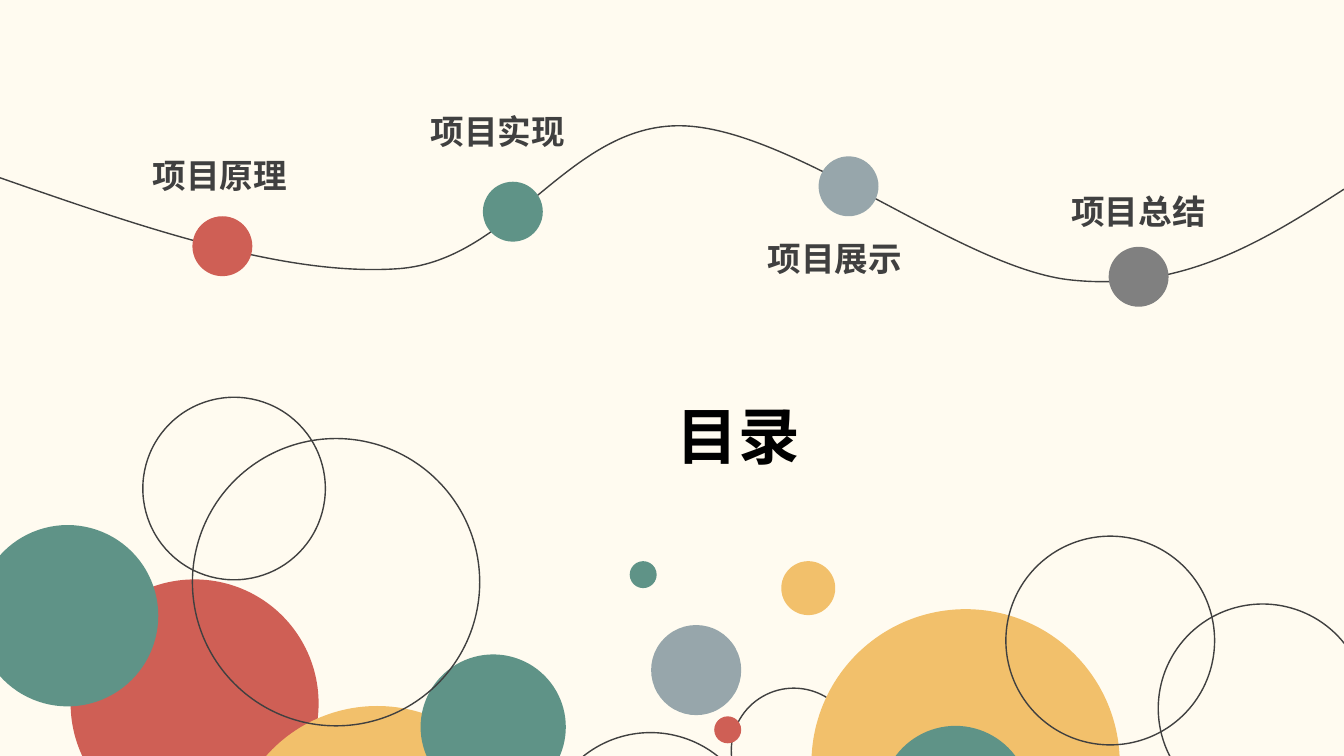
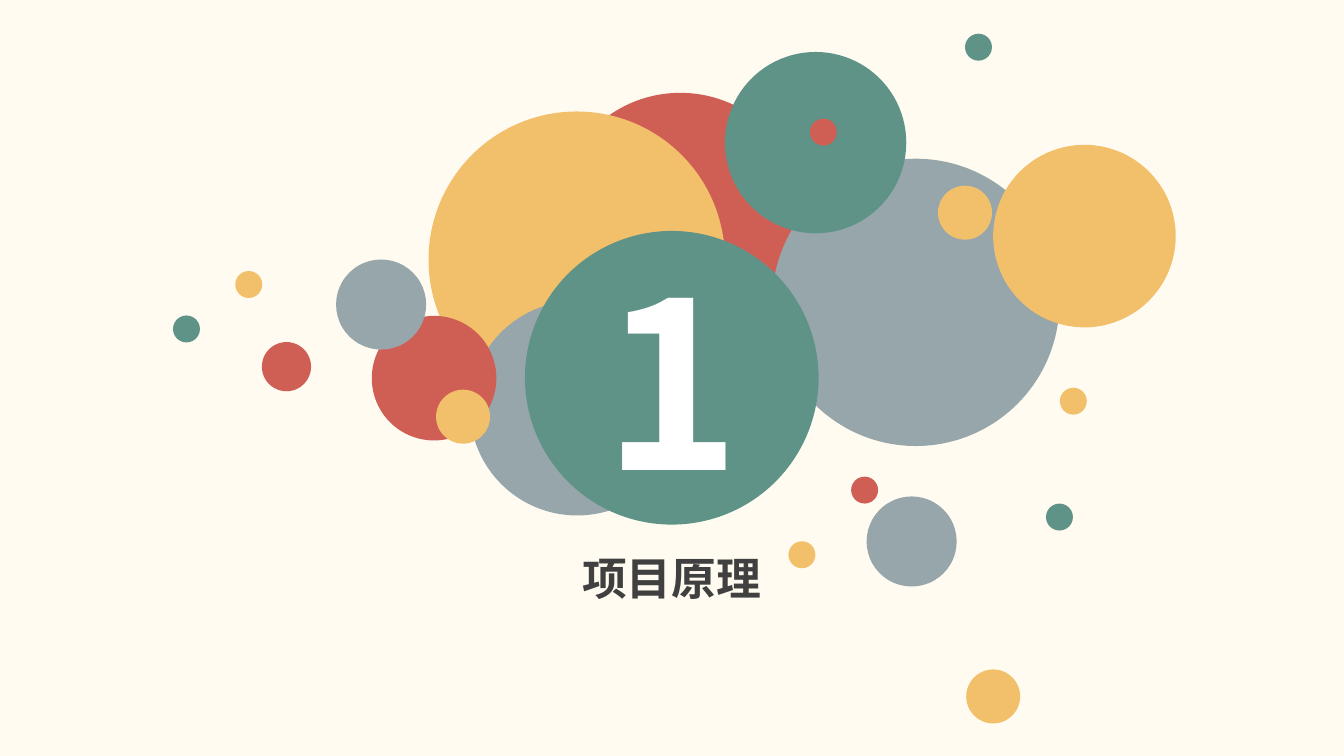
from dataclasses import dataclass

from lxml.etree import SubElement
from pptx import Presentation
from pptx.dml.color import RGBColor
from pptx.enum.lang import MSO_LANGUAGE_ID
from pptx.enum.shapes import MSO_SHAPE
from pptx.enum.text import MSO_ANCHOR, MSO_AUTO_SIZE, PP_ALIGN
from pptx.oxml.ns import qn
from pptx.util import Cm, Pt


@dataclass(frozen=True)
class Theme:
    cream: str = "FFFBF0"
    red: str = "CF5F55"
    yellow: str = "F2C06B"
    green: str = "5F9387"
    mist: str = "97A6AB"
    gray: str = "808080"
    ink: str = "404040"
    black: str = "000000"
    white: str = "FFFFFF"
    font: str = "Noto Sans CJK SC"
    title_font: str = "Calibri"
    label_size: int = 24
    section_size: int = 32
    title_size: int = 44
    number_size: int = 166
    line_width: int = 1


@dataclass(frozen=True)
class Box:
    left: float
    top: float
    width: float
    height: float

    def inner(self, left, top, width, height):
        return Box(self.left + left, self.top + top, width, height)

    def lengths(self):
        return [Cm(side) for side in (self.left, self.top, self.width, self.height)]


THEME = Theme()
PAGE = Box(0, 0, 33.87, 19.05)
DOT, PEBBLE, MARKER, BALL = 0.68, 1.36, 1.51, 2.27

LEFT_BUBBLES = [
    (1.78, 4.59, 6.25, THEME.red),
    (5.77, 7.78, 7.47, THEME.yellow),
    (10.6, 6.48, 3.66, THEME.green),
    (13.69, 8.45, 5.41, None),
    (4.85, 1.04, 7.24, None),
    (-0.58, 3.22, 4.57, THEME.green),
    (3.6, 0, 4.6, None),
]
RIGHT_BUBBLES = [
    (2.63, 3.83, 3.15, None),
    (4.65, 1.84, 7.77, THEME.yellow),
    (6.4, 4.78, 3.76, THEME.green),
    (9.55, 0, 5.26, None),
    (13.39, 1.71, 5.26, None),
    (0.61, 2.24, BALL, THEME.mist),
    (2.2, 4.54, DOT, THEME.red),
    (0.07, 0.63, DOT, THEME.green),
    (3.89, 0.63, PEBBLE, THEME.yellow),
]
SECTION_BUBBLES = [
    (9.72, 1.54, 6.25, THEME.red),
    (6.5, 2.01, 7.47, THEME.yellow),
    (7.54, 6.78, 5.41, THEME.mist),
    (15.16, 3.2, 7.24, THEME.mist),
    (13.97, 0.51, 4.57, THEME.green),
    (5.07, 7.16, 3.14, THEME.red),
    (17.54, 11.71, BALL, THEME.mist),
    (17.15, 11.21, DOT, THEME.red),
    (15.57, 12.84, DOT, THEME.yellow),
    (22.06, 11.89, DOT, THEME.green),
    (20.05, 16.07, PEBBLE, THEME.yellow),
    (20.73, 2.85, 4.6, THEME.yellow),
    (4.17, 5.74, BALL, THEME.mist),
    (2.3, 7.82, 1.24, THEME.red),
    (1.63, 6.03, DOT, THEME.yellow),
    (0.06, 7.15, DOT, THEME.green),
    (6.69, 9.02, PEBBLE, THEME.yellow),
    (16.11, 2.19, DOT, THEME.red),
    (22.41, 8.97, DOT, THEME.yellow),
    (20.02, 0.05, DOT, THEME.green),
    (19.34, 3.88, PEBBLE, THEME.yellow),
]
PATH_START = (0, 1.31)
PATH_CURVES = [
    ((3.58, 2.56), (7.19, 3.81), (10.06, 3.6)),
    ((12.9, 3.38), (14.33, -0.05), (17.17, 0)),
    ((19.99, 0.05), (24.26, 3.63), (27.03, 3.89)),
    ((29.82, 4.17), (31.85, 2.9), (33.87, 1.6)),
]
STOPS = [
    ("项目原理", (4.85, 2.28), THEME.red, (3.6, 0.6), PP_ALIGN.LEFT),
    ("项目实现", (12.17, 1.41), THEME.green, (10.6, -0.51), PP_ALIGN.LEFT),
    ("项目展示", (20.63, 0.77), THEME.mist, (19.1, 2.71), PP_ALIGN.LEFT),
    ("项目总结", (27.94, 3.05), THEME.gray, (24.74, 1.52), PP_ALIGN.CENTER),
]


def color(value):
    return RGBColor.from_string(value)


def paint(shape, fill=None):
    shape.shadow.inherit = False
    if fill:
        shape.fill.solid()
        shape.fill.fore_color.rgb = color(fill)
        shape.line.fill.background()
    else:
        shape.fill.background()
        shape.line.color.rgb = color(THEME.ink)
        shape.line.width = Pt(THEME.line_width)


def write(frame, text, size, ink=THEME.ink, font=THEME.font, align=PP_ALIGN.LEFT):
    frame.word_wrap = True
    para = frame.paragraphs[0]
    para.alignment = align
    span = para.add_run()
    span.text = text
    span.font.size = Pt(size)
    span.font.bold = True
    span.font.name = font
    span.font.color.rgb = color(ink)
    span.font.language_id = MSO_LANGUAGE_ID.SIMPLIFIED_CHINESE
    east_asian = SubElement(span.font._element, qn("a:ea"))
    east_asian.set("typeface", font)


def add_text(page, box, text, size, **style):
    frame = page.shapes.add_textbox(*box.lengths()).text_frame
    write(frame, text, size, **style)
    frame.auto_size = MSO_AUTO_SIZE.SHAPE_TO_FIT_TEXT


def add_circle(page, box, fill=None, rotation=0):
    circle = page.shapes.add_shape(MSO_SHAPE.OVAL, *box.lengths())
    circle.rotation = rotation
    paint(circle, fill)
    return circle


def add_bubbles(page, box, bubbles, rotation=0):
    for left, top, size, fill in bubbles:
        add_circle(page, box.inner(left, top, size, size), fill, rotation)


def bend(segment, controls, end):
    anchor = segment[0]
    anchor_x, anchor_y = int(anchor.get("x")), int(anchor.get("y"))
    segment.tag = qn("a:cubicBezTo")
    for index, (x, y) in enumerate(controls):
        point = SubElement(segment, qn("a:pt"))
        point.set("x", str(anchor_x + Cm(x - end[0])))
        point.set("y", str(anchor_y + Cm(y - end[1])))
        segment.insert(index, point)


def add_path(page, box):
    def place(point):
        return Cm(box.left + point[0]), Cm(box.top + point[1])

    builder = page.shapes.build_freeform(*place(PATH_START))
    builder.add_line_segments([place(curve[-1]) for curve in PATH_CURVES], close=False)
    path = builder.convert_to_shape()
    segments = list(path._element.iter(qn("a:lnTo")))
    for segment, (*controls, end) in zip(segments, PATH_CURVES):
        bend(segment, controls, end)
    paint(path)


def add_journey(page, box):
    add_path(page, box)
    for text, marker, fill, label, align in STOPS:
        add_circle(page, box.inner(*marker, MARKER, MARKER), fill)
        add_text(page, box.inner(*label, 7.9, 1.27), text, THEME.label_size, align=align)


def add_number(page, box, text):
    circle = add_circle(page, box, THEME.green)
    frame = circle.text_frame
    frame.vertical_anchor = MSO_ANCHOR.MIDDLE
    write(frame, text, THEME.number_size, ink=THEME.white, align=PP_ALIGN.CENTER)


def contents_page(page, box):
    add_bubbles(page, box.inner(0, 10.01, 19.1, 9.04), LEFT_BUBBLES, rotation=270)
    add_bubbles(page, box.inner(15.8, 13.51, 18.07, 5.54), RIGHT_BUBBLES, rotation=270)
    add_journey(page, box.inner(0, 3.17, box.width, 3.94))
    add_text(page, box.inner(16.81, 9.91, 8.89, 2.13), "目录", THEME.title_size,
             ink=THEME.black, font=THEME.title_font)


def section_page(page, box, number, title):
    add_bubbles(page, box.inner(4.3, 0.8, 25.32, 17.44), SECTION_BUBBLES)
    add_number(page, box.inner(13.23, 5.82, 7.4, 7.4), number)
    add_text(page, box.inner(9.27, 13.76, 15.32, 1.63), title, THEME.section_size,
             align=PP_ALIGN.CENTER)


def main():
    deck = Presentation()
    deck.slide_width, deck.slide_height = Cm(PAGE.width), Cm(PAGE.height)
    backdrop = deck.slide_master.background.fill
    backdrop.solid()
    backdrop.fore_color.rgb = color(THEME.cream)
    blank = deck.slide_layouts[6]
    contents_page(deck.slides.add_slide(blank), PAGE)
    section_page(deck.slides.add_slide(blank), PAGE, "1", "项目原理")
    deck.save("out.pptx")


if __name__ == "__main__":
    main()
